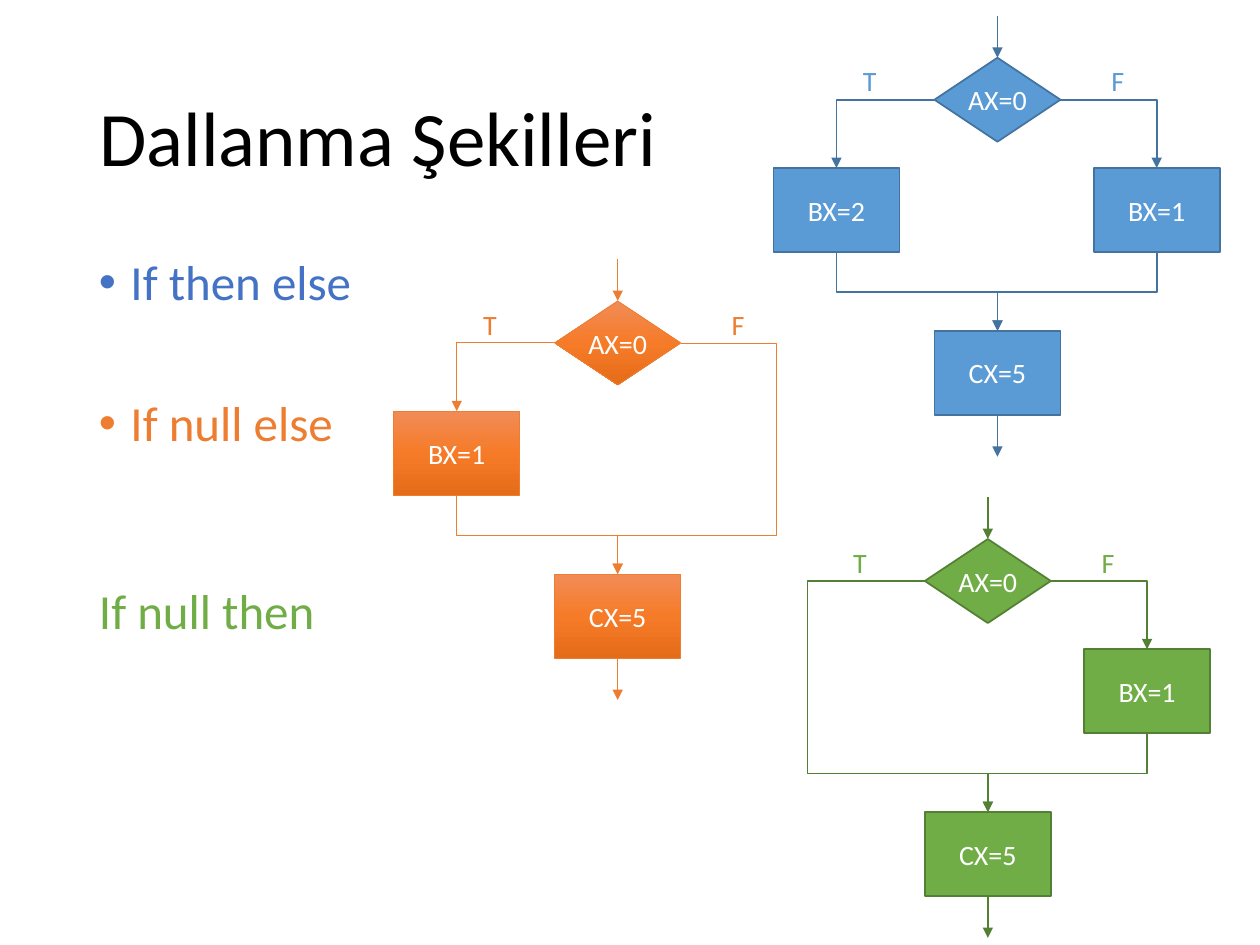
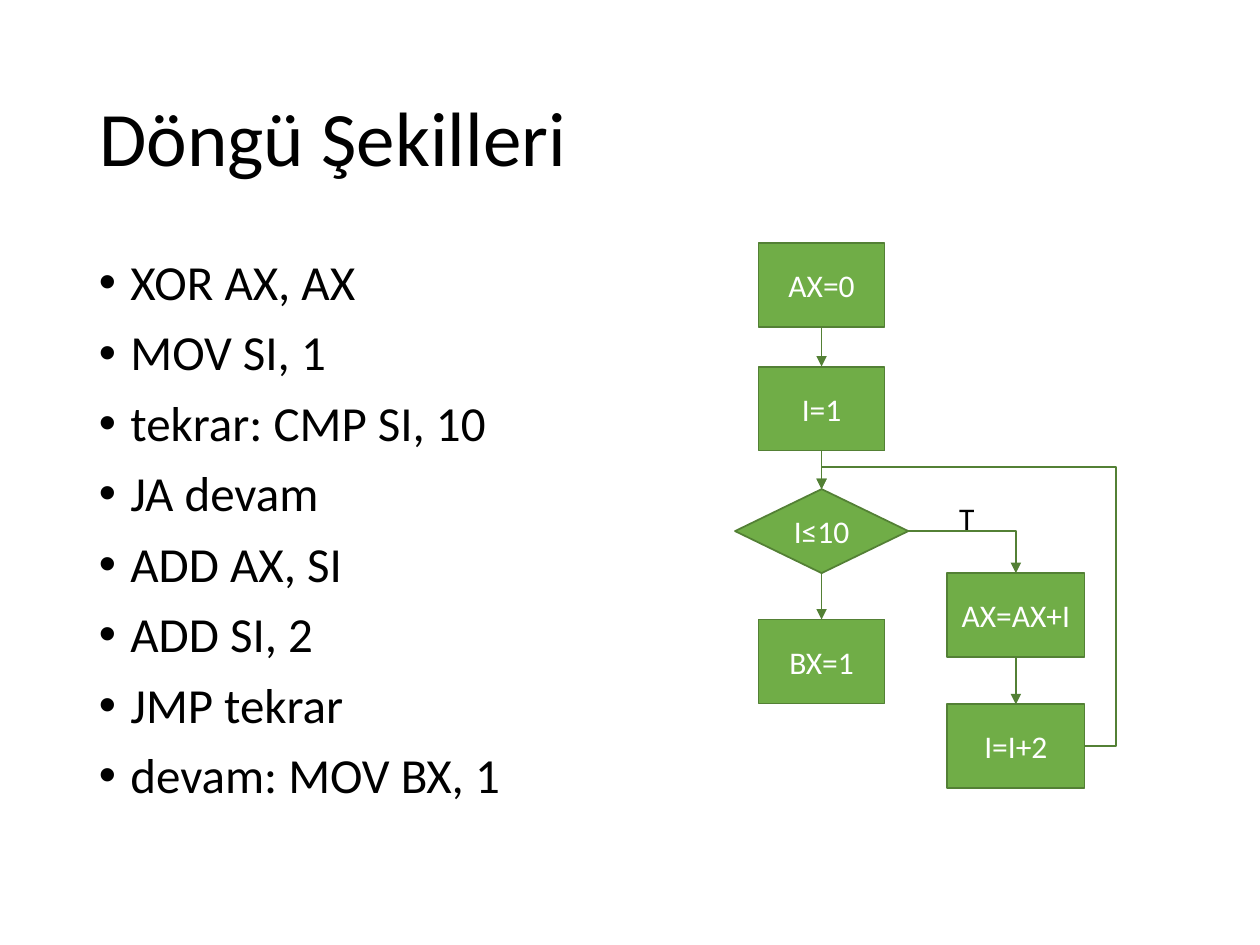
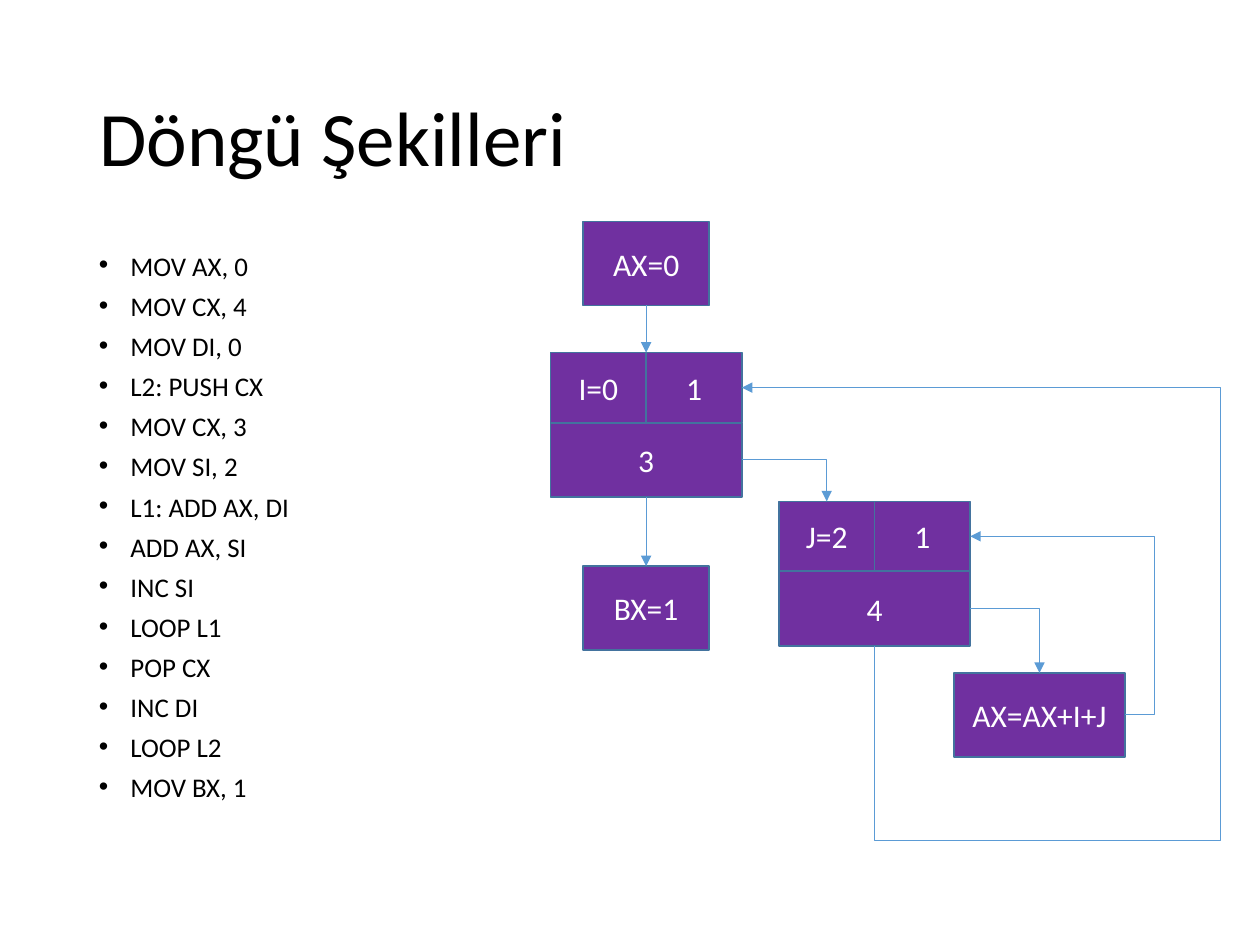
import copy

import lxml.etree
import pptx
import pptx.dml.color
import pptx.enum.dml
import pptx.enum.shapes
import pptx.enum.text
import pptx.oxml.ns
import pptx.util

Pt = pptx.util.Pt
RGBColor = pptx.dml.color.RGBColor
qn = pptx.oxml.ns.qn
PROCESS = pptx.enum.shapes.MSO_SHAPE.FLOWCHART_PROCESS
DECISION = pptx.enum.shapes.MSO_SHAPE.FLOWCHART_DECISION
RECTANGLE = pptx.enum.shapes.MSO_SHAPE.RECTANGLE
MIDDLE = pptx.enum.text.MSO_ANCHOR.MIDDLE
CENTER = pptx.enum.text.PP_ALIGN.CENTER
TOP, BOTTOM = 0, 2

FONT = "Calibri"
BLACK = RGBColor(0x00, 0x00, 0x00)
WHITE = RGBColor(0xFF, 0xFF, 0xFF)
INDIGO = RGBColor(0x44, 0x72, 0xC4)
BLUE = RGBColor(0x5B, 0x9B, 0xD5)
DARK_BLUE = RGBColor(0x43, 0x73, 0x9E)
ORANGE = RGBColor(0xED, 0x7D, 0x31)
GREEN = RGBColor(0x70, 0xAD, 0x47)
DARK_GREEN = RGBColor(0x53, 0x80, 0x35)
PURPLE = RGBColor(0x70, 0x30, 0xA0)
ORANGE_STOPS = [RGBColor(0xF1, 0x8C, 0x57), RGBColor(0xF6, 0x7B, 0x28), RGBColor(0xE5, 0x6C, 0x19)]
NODE_WIDTH, NODE_HEIGHT = 72, 48


def add_node(slide, kind, text, box, fill, line, line_width=1, size=18):
    shape = slide.shapes.add_shape(kind, *[Pt(value) for value in box])
    shape.shadow.inherit = False
    if isinstance(fill, list):
        shape.fill.gradient()
        shape.fill.gradient_angle = 270
        stop_list = shape._element.spPr.find(".//" + qn("a:gsLst"))
        stop_list.append(copy.deepcopy(stop_list[0]))
        for index, stop in enumerate(shape.fill.gradient_stops):
            stop.color.rgb = fill[index]
            stop.position = index / 2
    else:
        shape.fill.solid()
        shape.fill.fore_color.rgb = fill
    shape.line.color.rgb = line
    shape.line.width = Pt(line_width)
    frame = shape.text_frame
    frame.word_wrap = True
    frame.vertical_anchor = MIDDLE
    if kind == DECISION:
        frame.margin_left = frame.margin_right = 0
    paragraph = frame.paragraphs[0]
    paragraph.text = text
    paragraph.alignment = CENTER
    paragraph.font.name = FONT
    paragraph.font.size = Pt(size)
    paragraph.font.color.rgb = WHITE
    return shape


def add_route(slide, points, color, width):
    (x1, y1), (x2, y2) = points[0], points[-1]
    straight = len(points) == 2
    vertical_start = points[0][0] == points[1][0]
    rotation = 0
    if not straight and vertical_start:
        rotation = 270 if x2 > x1 else 90
        center_x, center_y = (x1 + x2) / 2, (y1 + y2) / 2
        half_run = (y2 - y1) / 2 * (1 if rotation == 90 else -1)
        half_rise = abs(x2 - x1) / 2
        x1, x2 = center_x - half_run, center_x + half_run
        y1, y2 = center_y - half_rise, center_y + half_rise
    kinds = pptx.enum.shapes.MSO_CONNECTOR
    connector = slide.shapes.add_connector(
        kinds.STRAIGHT if straight else kinds.ELBOW, Pt(x1), Pt(y1), Pt(x2), Pt(y2))
    connector.line.color.rgb = color
    connector.line.width = Pt(width)
    properties = connector._element.spPr
    lxml.etree.SubElement(properties.find(qn("a:ln")), qn("a:tailEnd"), type="triangle")
    lxml.etree.SubElement(properties, qn("a:effectLst"))
    if not straight:
        properties.find(qn("a:xfrm")).set("rot", str(rotation * 60000))
        geometry = properties.find(qn("a:prstGeom"))
        geometry.set("prst", f"bentConnector{len(points) - 1}")
        guides = geometry.find(qn("a:avLst"))
        for index, point in enumerate(points[1:-2]):
            axis = (index + vertical_start) % 2
            share = (point[axis] - points[0][axis]) / (points[-1][axis] - points[0][axis])
            if index == 1:
                share = (points[2][axis] - points[0][axis]) / (points[-1][axis] - points[0][axis])
            lxml.etree.SubElement(guides, qn("a:gd"), name=f"adj{index + 1}",
                                  fmla=f"val {round(share * 100000)}")
    return connector


presentation = pptx.Presentation()
presentation.slide_width = Pt(720)
presentation.slide_height = Pt(540)

slide_texts = [
    ("Dallanma Şekilleri", 28, 0.9, [
        ("If then else", INDIGO, True, 0),
        ("If null else", ORANGE, True, 50.2),
        ("If null then", GREEN, False, 77.2)]),
    ("Döngü Şekilleri", 28, 0.9, [
        (text, BLACK, True, 10 if index else 0) for index, text in enumerate([
            "XOR AX, AX", "MOV SI, 1", "tekrar: CMP SI, 10", "JA devam",
            "ADD AX, SI", "ADD SI, 2", "JMP tekrar", "devam: MOV BX, 1"])]),
    ("Döngü Şekilleri", 15.4, 0.7, [
        (text, BLACK, True, 10 if index else 0) for index, text in enumerate([
            "MOV AX, 0", "MOV CX, 4", "MOV DI, 0", "L2: PUSH CX", "MOV CX, 3",
            "MOV SI, 2", "L1: ADD AX, DI", "ADD AX, SI", "INC SI", "LOOP L1",
            "POP CX", "INC DI", "LOOP L2", "MOV BX, 1"])]),
]

for title_text, body_size, line_spacing, items in slide_texts:
    slide = presentation.slides.add_slide(presentation.slide_layouts[5])
    title = slide.shapes.title
    title.left, title.top, title.width, title.height = Pt(49.5), Pt(28.8), Pt(621), Pt(104.4)
    title.text_frame.vertical_anchor = MIDDLE
    paragraph = title.text_frame.paragraphs[0]
    paragraph.text = title_text
    paragraph.alignment = pptx.enum.text.PP_ALIGN.LEFT
    paragraph.line_spacing = 0.9
    paragraph.font.name = FONT
    paragraph.font.size = Pt(44)
    paragraph.font.color.rgb = BLACK

    body = slide.shapes.add_textbox(Pt(49.5), Pt(144), Pt(621), Pt(342.6)).text_frame
    body.word_wrap = True
    for index, (text, color, bulleted, space_before) in enumerate(items):
        paragraph = body.add_paragraph() if index else body.paragraphs[0]
        paragraph.text = text
        if bulleted:
            paragraph_properties = paragraph._p.get_or_add_pPr()
            paragraph_properties.set("marL", str(Pt(18)))
            paragraph_properties.set("indent", str(-Pt(18)))
            lxml.etree.SubElement(paragraph_properties, qn("a:buFont"), typeface="Arial")
            lxml.etree.SubElement(paragraph_properties, qn("a:buChar"), char="•")
        paragraph.line_spacing = line_spacing
        paragraph.space_before = Pt(space_before)
        paragraph.font.name = FONT
        paragraph.font.size = Pt(body_size)
        paragraph.font.color.rgb = color

branch_slide, loop_slide, nested_slide = presentation.slides
labels = []

branches = [
    (570, 33, BLUE, DARK_BLUE, 1, BLUE, "BX=2", "BX=1", 92),
    (353, 172, ORANGE_STOPS, ORANGE, 0.5, ORANGE, "BX=1", None, 92),
    (564.5, 308, GREEN, DARK_GREEN, 1, GREEN, None, "BX=1", 103),
]
for center, top, fill, line, width, label_color, true_text, false_text, true_reach in branches:
    style = (fill, line, width, 16)
    left = center - NODE_WIDTH / 2
    middle, side_top, join, end_top = top + 24, top + 63, top + 134, top + 156
    decision = add_node(branch_slide, DECISION, "AX=0",
                        (left, top, NODE_WIDTH, NODE_HEIGHT), *style)
    end = add_node(branch_slide, PROCESS, "CX=5",
                   (left, end_top, NODE_WIDTH, NODE_HEIGHT), *style)
    for text, side, reach in ((true_text, -1, true_reach), (false_text, 1, 91)):
        tip = (center + side * NODE_WIDTH / 2, middle)
        x = center + side * reach
        if text:
            add_node(branch_slide, PROCESS, text,
                     (x - NODE_WIDTH / 2, side_top, NODE_WIDTH, NODE_HEIGHT), *style)
            routes = [[tip, (x, middle), (x, side_top)],
                      [(x, side_top + NODE_HEIGHT), (x, join), (center, join), (center, end_top)]]
        else:
            routes = [[tip, (x, middle), (x, join), (center, join), (center, end_top)]]
        for points in routes:
            add_route(branch_slide, points, line, width)
    entry = add_route(branch_slide, [(center, top - 24), (center, top)], line, width)
    entry.end_connect(decision, TOP)
    leave = add_route(branch_slide, [(center, end_top + 48), (center, end_top + 72)], line, width)
    leave.begin_connect(end, BOTTOM)
    labels += [(branch_slide, "T", center - 84, top, 16, label_color),
               (branch_slide, "F", center + 58, top, 16, label_color)]

main_x, step_x = 469.5, 580.5
loop_nodes = []
for kind, text, center, top, width in [
    (PROCESS, "AX=0", main_x, 139, NODE_WIDTH),
    (PROCESS, "I=1", main_x, 209.5, NODE_WIDTH),
    (DECISION, "I≤10", main_x, 279.5, 99),
    (PROCESS, "BX=1", main_x, 354, NODE_WIDTH),
    (PROCESS, "AX=AX+I", step_x, 327.5, 78.5),
    (PROCESS, "I=I+2", step_x, 402.5, 78.5),
]:
    loop_nodes.append(add_node(loop_slide, kind, text,
                               (center - width / 2, top, width, NODE_HEIGHT), GREEN, DARK_GREEN))
for first, second in ((0, 1), (1, 2), (2, 3), (4, 5)):
    arrow = add_route(loop_slide, [(0, 0), (0, 1)], DARK_GREEN, 1)
    arrow.begin_connect(loop_nodes[first], BOTTOM)
    arrow.end_connect(loop_nodes[second], TOP)
add_route(loop_slide, [(519, 303.5), (step_x, 303.5), (step_x, 327.5)], DARK_GREEN, 1)
add_route(loop_slide, [(619.75, 426.5), (638, 426.5), (638, 267), (main_x, 267), (main_x, 279.5)],
          DARK_GREEN, 1)
labels.append((loop_slide, "T", 541, 281.5, 18, BLACK))

half_width, header_height, count_height = 54.75, 40, 42.5
counters = []
for left, top, start_text, count_text in ((314.5, 201.5, "I=0", "3"), (445, 286.5, "J=2", "4")):
    for text, x, y, width, height in [
        (start_text, left, top, half_width, header_height),
        ("1", left + half_width, top, half_width, header_height),
        (count_text, left, top + header_height, 2 * half_width, count_height),
    ]:
        counter = add_node(nested_slide, RECTANGLE, text, (x, y, width, height), PURPLE, DARK_BLUE)
    counters.append(counter)
start = add_node(nested_slide, PROCESS, "AX=0", (333.25, 126.5, NODE_WIDTH, NODE_HEIGHT),
                 PURPLE, DARK_BLUE)
finish = add_node(nested_slide, PROCESS, "BX=1", (333.25, 323.5, NODE_WIDTH, NODE_HEIGHT),
                  PURPLE, DARK_BLUE)
add_node(nested_slide, PROCESS, "AX=AX+I+J", (545, 384.5, 98, NODE_HEIGHT), PURPLE, DARK_BLUE)
arrow = add_route(nested_slide, [(369.25, 174.5), (369.25, 201.5)], BLUE, 0.5)
arrow.begin_connect(start, BOTTOM)
arrow = add_route(nested_slide, [(369.25, 284), (369.25, 323.5)], BLUE, 0.5)
arrow.begin_connect(counters[0], BOTTOM)
arrow.end_connect(finish, TOP)
for points in [
    [(424, 262.5), (472.4, 262.5), (472.4, 286.5)],
    [(554.5, 347.5), (594, 347.5), (594, 384.5)],
    [(643, 408.5), (660, 408.5), (660, 306.5), (554.5, 306.5)],
    [(499.75, 369), (499.75, 480), (697.5, 480), (697.5, 221.5), (424, 221.5)],
]:
    add_route(nested_slide, points, BLUE, 0.5)

for slide, text, left, top, size, color in labels:
    label = slide.shapes.add_textbox(Pt(left), Pt(top), Pt(22.5), Pt(size * 1.2 + 7.2))
    label.text_frame.word_wrap = False
    paragraph = label.text_frame.paragraphs[0]
    paragraph.text = text
    paragraph.font.name = FONT
    paragraph.font.size = Pt(size)
    paragraph.font.color.rgb = color

presentation.save("out.pptx")
